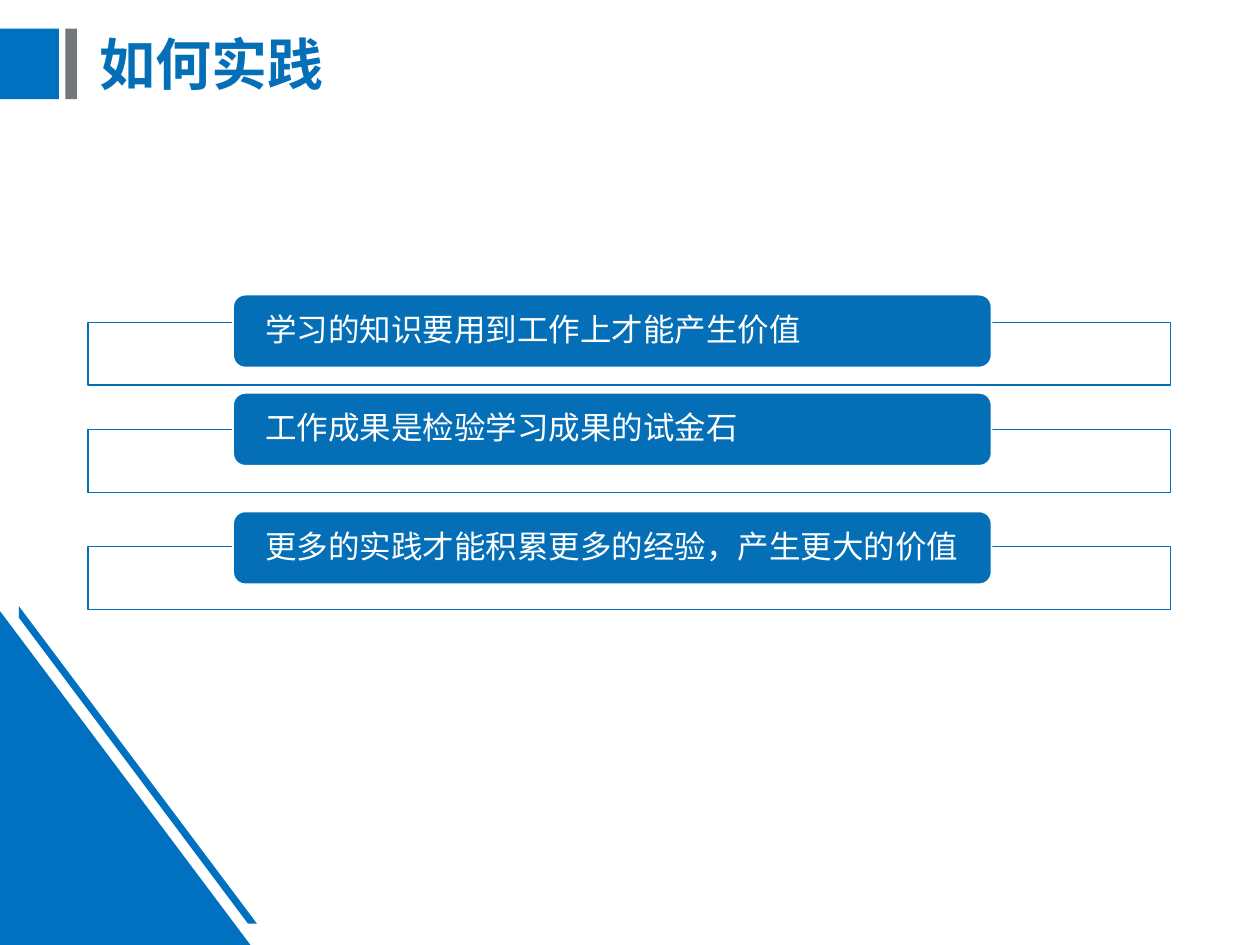
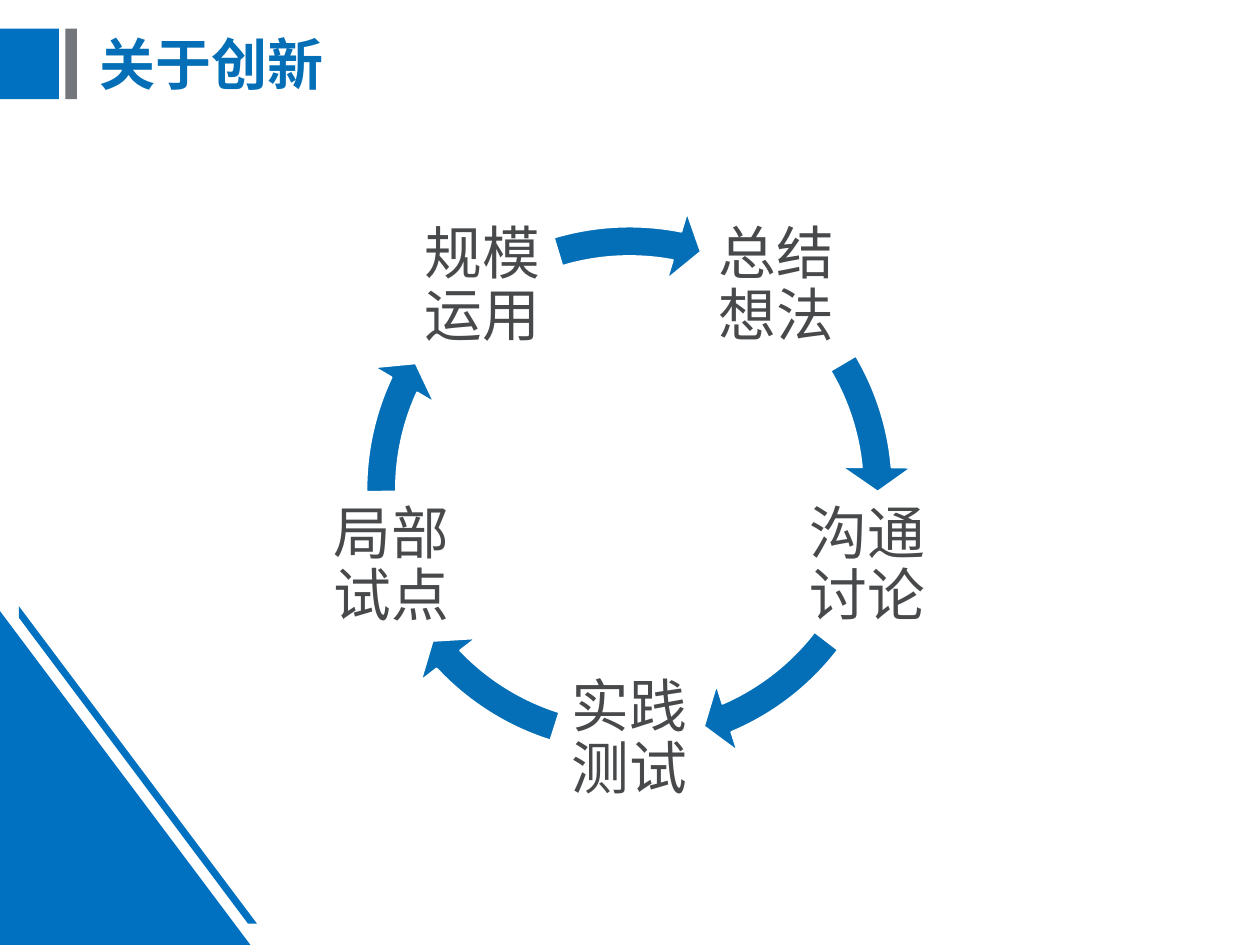
from math import cos, radians, sin

from lxml import etree
from pptx import Presentation
from pptx.dml.color import RGBColor
from pptx.enum.shapes import MSO_SHAPE
from pptx.enum.text import MSO_ANCHOR, MSO_AUTO_SIZE, PP_ALIGN
from pptx.oxml.ns import qn
from pptx.util import Cm, Pt

RECTANGLE = MSO_SHAPE.RECTANGLE
ROUNDED = MSO_SHAPE.ROUNDED_RECTANGLE
TRIANGLE = MSO_SHAPE.RIGHT_TRIANGLE
ARROW = MSO_SHAPE.CIRCULAR_ARROW
MIDDLE = MSO_ANCHOR.MIDDLE
NO_AUTOFIT = MSO_AUTO_SIZE.NONE
LEFT, CENTER = PP_ALIGN.LEFT, PP_ALIGN.CENTER

COLORS = {
    "band": "0070C0",
    "accent": "046FB6",
    "gray": "73767A",
    "text": "47494B",
    "white": "FFFFFF",
}
CJK_FONT = "Noto Sans CJK SC"
TITLE = {"name": CJK_FONT, "size": Pt(32), "bold": True}
PILL = {"name": CJK_FONT, "size": Pt(18)}
LABEL = {"name": "Calibri", "size": Pt(33)}

PRACTICES = [
    ("学习的知识要用到工作上才能产生价值", 6.5, 5.94),
    ("工作成果是检验学习成果的试金石", 8.66, 7.92),
    ("更多的实践才能积累更多的经验，产生更大的价值", 11.02, 10.31),
]
STEPS = [
    ("总结想法", 329.45, 354.88),
    ("沟通讨论", 37.57, 66.9),
    ("实践测试", 107.5, 136.83),
    ("局部试点", 179.52, 204.95),
    ("规模运用", 253.31, 281.08),
]


class Deck:
    """Holds the shared style and the slide being drawn."""

    def __init__(self):
        self.presentation = Presentation()
        self.presentation.slide_width = Cm(25.4)
        self.presentation.slide_height = Cm(19.05)
        self.layout = self.presentation.slide_layouts[5]
        self.slide = None

    def new_slide(self, title):
        self.slide = self.presentation.slides.add_slide(self.layout)
        if len(self.presentation.slides) == 1:
            self.decorate_layout()
        shape = self.slide.shapes.title
        self.place(shape, 1.75, 0.25, 22.61, 2.21)
        self.set_text(shape, title, TITLE, "accent", LEFT)

    def decorate_layout(self):
        shapes = [
            self.shape(RECTANGLE, 0, 0.58, 1.19, 1.42, "band"),
            self.shape(RECTANGLE, 1.32, 0.58, 0.23, 1.42, "gray"),
            self.shape(TRIANGLE, 0, 12.32, 5.05, 6.73, "band"),
            self.outline([(0.38, 12.22), (5.18, 18.62), (5, 18.62), (0.38, 12.45)], "band"),
        ]
        for position, shape in enumerate(shapes, start=2):
            self.layout.shapes.element.insert(position, shape.element)

    def place(self, shape, left, top, width, height):
        bounds = {"left": left, "top": top, "width": width, "height": height}
        for name, value in bounds.items():
            setattr(shape, name, Cm(value))

    def paint(self, shape, fill, line=None):
        shape.shadow.inherit = False
        shape.fill.solid()
        shape.fill.fore_color.rgb = RGBColor.from_string(COLORS[fill])
        if line:
            shape.line.color.rgb = RGBColor.from_string(COLORS[line])
            shape.line.width = Pt(1)
        else:
            shape.line.fill.background()
        return shape

    def shape(self, kind, left, top, width, height, fill, line=None):
        bounds = [Cm(value) for value in (left, top, width, height)]
        return self.paint(self.slide.shapes.add_shape(kind, *bounds), fill, line)

    def outline(self, points, fill):
        corners = [(Cm(x), Cm(y)) for x, y in points]
        builder = self.slide.shapes.build_freeform(*corners[0])
        builder.add_line_segments(corners[1:], close=True)
        return self.paint(builder.convert_to_shape(), fill)

    def frame(self, top):
        shape = self.shape(RECTANGLE, 1.78, top, 21.82, 1.27, "white", "accent")
        color = shape.element.spPr.find(qn("a:solidFill"))[0]
        etree.SubElement(color, qn("a:alpha"), val="90000")

    def pill(self, text, top):
        shape = self.shape(ROUNDED, 4.7, top, 15.29, 1.47, "accent", "white")
        self.set_text(shape, text, PILL, "white", LEFT, (0.58, 0, 0.3, 0))

    def label(self, text, center_x, center_y, size=3.05):
        bounds = (center_x - size / 2, center_y - size / 2, size, size)
        shape = self.slide.shapes.add_textbox(*[Cm(value) for value in bounds])
        self.set_text(shape, text, LABEL, "text", CENTER, (0.12,) * 4)

    def circular_arrow(self, center_x, center_y, start, end, size=11.4):
        shape = self.shape(ARROW, center_x - size / 2, center_y - size / 2,
                           size, size, "accent", "white")
        values = (0.052, 5.6 * 0.6, end * 0.6, start * 0.6, 0.061)
        for index, value in enumerate(values):
            shape.adjustments[index] = value

    def set_text(self, shape, text, font, color, alignment, insets=(0.25, 0.13, 0.25, 0.13)):
        frame = shape.text_frame
        settings = {"word_wrap": True, "auto_size": NO_AUTOFIT, "vertical_anchor": MIDDLE}
        for side, inset in zip(("left", "top", "right", "bottom"), insets):
            settings[f"margin_{side}"] = Cm(inset)
        for name, value in settings.items():
            setattr(frame, name, value)
        paragraph = frame.paragraphs[0]
        paragraph.alignment = alignment
        paragraph.line_spacing = 0.9
        run = paragraph.add_run()
        run.text = text
        for name, value in font.items():
            setattr(run.font, name, value)
        run.font.color.rgb = RGBColor.from_string(COLORS[color])
        etree.SubElement(run._r.get_or_add_rPr(), qn("a:ea"), typeface=CJK_FONT)


def practice_slide(deck):
    deck.new_slide("如何实践")
    for text, frame_top, pill_top in PRACTICES:
        deck.frame(frame_top)
        deck.pill(text, pill_top)


def innovation_slide(deck):
    deck.new_slide("关于创新")
    center_x, center_y, radius = 12.69, 9.87, 5.05
    for index, (text, start, end) in enumerate(STEPS):
        angle = radians(-54 + index * 360 / len(STEPS))
        deck.label(text, center_x + radius * cos(angle), center_y + radius * sin(angle))
        deck.circular_arrow(center_x, center_y, start, end)


def main():
    deck = Deck()
    practice_slide(deck)
    innovation_slide(deck)
    deck.presentation.save("out.pptx")


if __name__ == "__main__":
    main()
